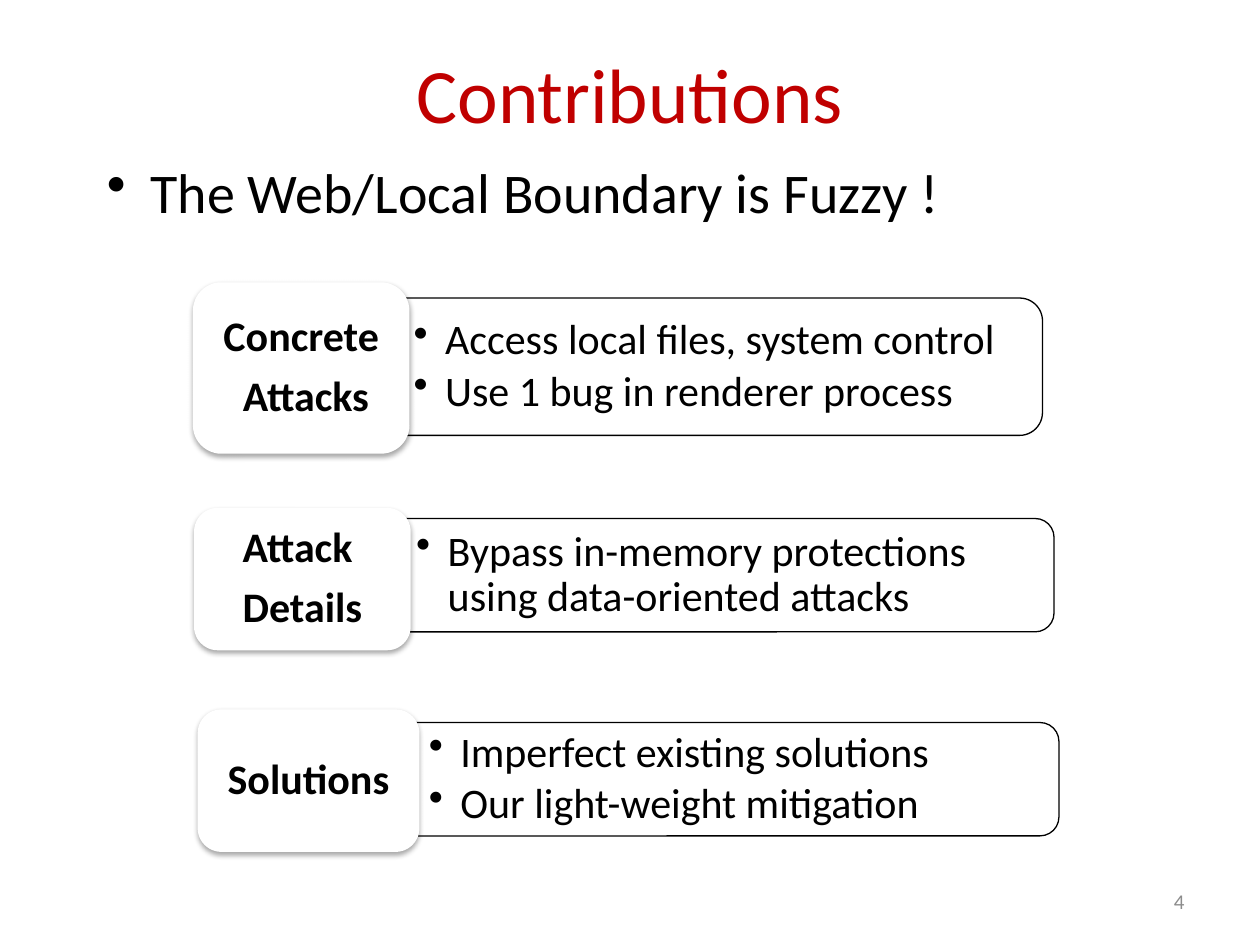
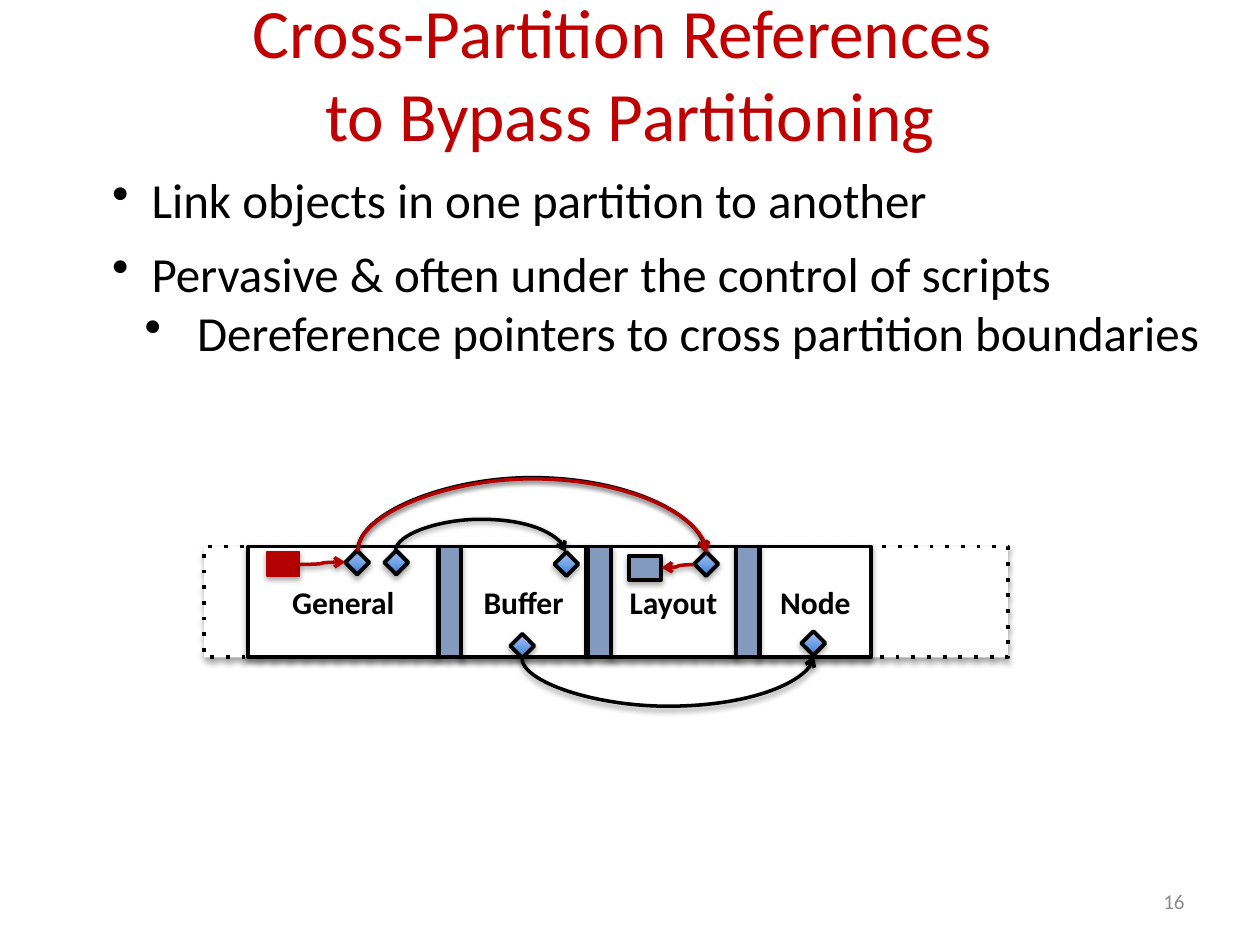
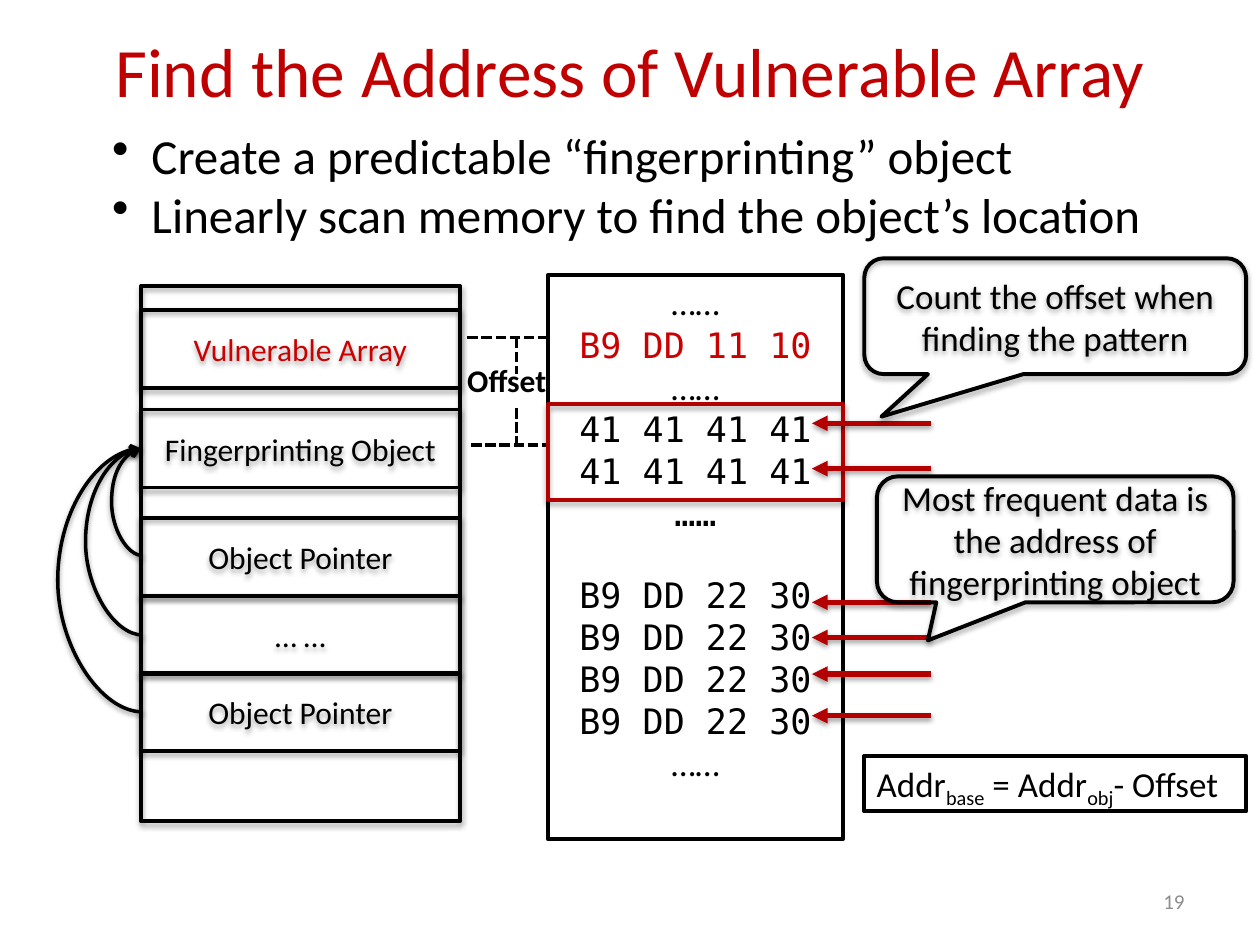
"""Build three slides on web/local boundary attacks: contributions, partition references, address search."""
from lxml.etree import SubElement
from pptx import Presentation
from pptx.dml.color import RGBColor
from pptx.enum.dml import MSO_LINE
from pptx.enum.shapes import MSO_CONNECTOR, MSO_SHAPE
from pptx.enum.text import MSO_ANCHOR, PP_ALIGN
from pptx.oxml.ns import qn
from pptx.util import Pt

RECT = MSO_SHAPE.RECTANGLE
ROUNDED = MSO_SHAPE.ROUNDED_RECTANGLE
ROUNDED_END = MSO_SHAPE.ROUND_2_SAME_RECTANGLE
DIAMOND = MSO_SHAPE.DIAMOND
CALLOUT = MSO_SHAPE.ROUNDED_RECTANGULAR_CALLOUT
STRAIGHT, CURVE = MSO_CONNECTOR.STRAIGHT, MSO_CONNECTOR.CURVE
LEFT, CENTER, RIGHT = PP_ALIGN.LEFT, PP_ALIGN.CENTER, PP_ALIGN.RIGHT
TOP, MIDDLE = MSO_ANCHOR.TOP, MSO_ANCHOR.MIDDLE
SYS_DASH, ROUND_DOT = MSO_LINE.SQUARE_DOT, MSO_LINE.ROUND_DOT

FONT, MONO = "Calibri", "DejaVu Sans Mono"
COLORS = {name: RGBColor.from_string(value) for name, value in {
    "title": "C00000", "number": "8C8C8C", "black": "000000", "white": "FFFFFF",
    "arrow": "B20100", "highlight": "CB0000", "guard": "839ABE",
    "object_dark": "3F80CE", "object_light": "A4C4FF"}.items()}


def add_box(slide, frame, lines=(), preset=None, fill=None, line="black", weight=2.25, shadow=True,
            size=18, color="black", bold=False, align=CENTER, anchor=MIDDLE, bullet=None):
    """Add a shape, or a text box when no preset is given; bullet is (margin, hanging)."""
    lengths = [Pt(value) for value in frame]
    if preset is None:
        box = slide.shapes.add_textbox(*lengths)
    else:
        box = slide.shapes.add_shape(preset, *lengths)
        if fill:
            box.fill.solid()
            box.fill.fore_color.rgb = COLORS[fill]
        else:
            box.fill.background()
        if line:
            box.line.color.rgb = COLORS[line]
            box.line.width = Pt(weight)
        else:
            box.line.fill.background()
        if not shadow:
            box.shadow.inherit = False
    text = box.text_frame
    text.word_wrap = True
    text.vertical_anchor = anchor
    for index, words in enumerate(lines):
        paragraph = text.add_paragraph() if index else text.paragraphs[0]
        paragraph.text = words
        paragraph.alignment = align
        paragraph.font.name = FONT
        paragraph.font.size = Pt(size)
        paragraph.font.bold = bold
        paragraph.font.color.rgb = COLORS[color]
        if bullet:
            properties = paragraph._p.get_or_add_pPr()
            properties.set("marL", str(Pt(bullet[0])))
            properties.set("indent", str(-Pt(bullet[1])))
            mark = properties.makeelement(qn("a:buChar"), {"char": "•"})
            properties.insert(0, mark)
    return box


def add_link(slide, start, end, color="black", weight=2, head="arrow", dash=None,
             depth=None, turn=0, flips=""):
    """Add a connector; with a depth it is a curve whose bend lies that far from its start."""
    if depth is None:
        link = slide.shapes.add_connector(STRAIGHT, *map(Pt, start + end))
    else:
        width, height = abs(end[0] - start[0]), abs(end[1] - start[1])
        if turn in (90, 270):
            width, height = height, width
        left = (start[0] + end[0] - width) / 2
        top = (start[1] + end[1] - height) / 2
        link = slide.shapes.add_connector(CURVE, Pt(left), Pt(top), Pt(left + width), Pt(top + height))
        frame = link._element.spPr.find(qn("a:xfrm"))
        frame.set("rot", str(turn * 60000))
        for flip in flips:
            frame.set("flip" + flip, "1")
        guides = link._element.spPr.find(qn("a:prstGeom")).find(qn("a:avLst"))
        SubElement(guides, qn("a:gd"), name="adj1", fmla=f"val {round(depth / width * 100000)}")
    link.line.color.rgb = COLORS[color]
    link.line.width = Pt(weight)
    if dash:
        link.line.dash_style = dash
        SubElement(link._element.spPr, qn("a:effectLst"))
    if head:
        SubElement(link.line._get_or_add_ln(), qn("a:tailEnd"), type=head)
    return link


deck = Presentation()
deck.slide_width, deck.slide_height = Pt(720), Pt(540)

slides = []
for title, title_frame, title_size, number in [
    ("Contributions", (36, 8, 648, 90), 44, "4"),
    ("Cross-Partition References \nto Bypass Partitioning", (0, -3.6, 720, 90), 39.6, "16"),
    ("Find the Address of Vulnerable Array", (36, -5, 648, 90), 39.6, "19"),
]:
    slide = deck.slides.add_slide(deck.slide_layouts[6])
    add_box(slide, title_frame, [title], size=title_size, color="title")
    add_box(slide, (516, 500.4, 168, 28.8), [number], size=12, color="number", align=RIGHT)
    slides.append(slide)
contributions, references, search = slides

add_box(contributions, (54, 88, 612, 42.5), ["The Web/Local Boundary is Fuzzy !"],
        size=32, align=LEFT, bullet=(25, 25))
for label, label_frame, details, detail_frame in [
    (["Concrete", " Attacks"], (110.2, 161.3, 123.8, 98),
     ["Access local files, system control", "Use 1 bug in renderer process"], (217, 170.3, 378.7, 78.5)),
    (["Attack ", "Details"], (110.9, 290.2, 123.8, 81.4),
     ["Bypass in-memory protections using data-oriented attacks"], (218.5, 296.3, 383.8, 64.8)),
    (["Solutions"], (113, 405.4, 126.7, 81.4),
     ["Imperfect existing solutions", "Our light-weight mitigation"], (225.7, 412.9, 379.4, 64.8)),
]:
    left, top, width, height = detail_frame
    outline = add_box(contributions, (left + (width - height) / 2, top + (height - width) / 2, height, width),
                      preset=ROUNDED_END, fill="white", weight=0.75, shadow=False)
    outline.rotation = 90
    detail = add_box(contributions, detail_frame, details, size=24, align=LEFT, bullet=(18, 18))
    detail.text_frame.margin_left, detail.text_frame.margin_right = Pt(19.4), Pt(14)
    name = add_box(contributions, label_frame, label, ROUNDED, "white", None, size=24, bold=True)
    for part, gap in [(detail, 3.6), (name, 8.4)]:
        for paragraph in part.text_frame.paragraphs:
            paragraph.line_spacing = 0.9
            paragraph.space_after = Pt(gap)

add_box(references, (57, 93.6, 600, 41), ["Link objects in one partition to another"],
        size=28, align=LEFT, anchor=TOP, bullet=(22.5, 22.5))
add_box(references, (57, 135.4, 660, 41), ["Pervasive & often under the control of scripts"],
        size=28, align=LEFT, anchor=TOP, bullet=(22.5, 22.5))
add_box(references, (57, 169.6, 660, 41), ["Dereference pointers to cross partition boundaries"],
        size=28, align=LEFT, anchor=TOP, bullet=(48.5, 30))

ROW_TOP, ROW_HEIGHT = 312.3, 63.4
memory = add_box(references, (116.6, ROW_TOP, 459.4, ROW_HEIGHT), preset=RECT, fill="white")
memory.line.dash_style = ROUND_DOT
memory.line._get_or_add_ln().find(qn("a:prstDash")).set("val", "dot")
for partition, left, width in [("Node", 434.2, 63.4), ("Buffer", 263.5, 71.3),
                               ("Layout", 349.2, 71.3), ("General", 141.8, 108.7)]:
    add_box(references, (left, ROW_TOP, width, ROW_HEIGHT), [partition], RECT, "white", bold=True)
for left in (250.6, 336.2, 420.5):
    add_box(references, (left, ROW_TOP, 13, ROW_HEIGHT), preset=RECT, fill="guard")
for left, top in [(219.6, 314.6), (316.8, 315.4), (396.7, 315.4),
                  (457.9, 360.7), (197.3, 314.6), (291.6, 362.2)]:
    pointer = add_box(references, (left, top, 13.7, 13.7), preset=DIAMOND)
    pointer.fill.gradient()
    pointer.fill.gradient_angle = 90
    for stop, shade in zip(pointer.fill.gradient_stops, ("object_dark", "object_light")):
        stop.color.rgb = COLORS[shade]
add_box(references, (152.6, 315.4, 18.7, 13.7), preset=RECT, fill="arrow", line="arrow", weight=0.75)
add_box(references, (359.3, 317.5, 18.7, 13.7), preset=RECT, fill="guard")
for start, end, color, depth, turn, flips in [
    ((226, 314.6), (323.3, 315.6), "black", -18, 270, "H"),
    ((204.5, 314.6), (403.2, 315.6), "black", -42, 270, "H"),
    ((298.1, 375.8), (465.1, 374.8), "black", -28, 90, "HV"),
    ((170.9, 322.6), (197.3, 321.2), "arrow", 13.2, 0, "V"),
    ((204.5, 314.8), (403.7, 315.8), "arrow", -41.5, 270, "H"),
    ((396.7, 322.6), (378, 324.4), "arrow", 9.4, 180, "V"),
]:
    add_link(references, start, end, color, depth=depth, turn=turn, flips=flips)

add_box(search, (57, 68.4, 640, 80),
        ["Create a predictable “fingerprinting” object", "Linearly scan memory to find the object’s location"],
        size=28, align=LEFT, anchor=TOP, bullet=(22.5, 22.5))
scanned = ["……", "B9 DD 11 10", "……", "41 41 41 41", "41 41 41 41", "……"] + ["B9 DD 22 30"] * 4 + ["……"]
dump = add_box(search, (313.2, 157, 168.5, 322.6), scanned, RECT, shadow=False, size=20, anchor=TOP)
rows = dump.text_frame.paragraphs
for index in (1, 3, 4, 5, 6, 7, 8, 9):
    rows[index].font.name = MONO
rows[1].font.color.rgb = COLORS["highlight"]
rows[6].space_before = Pt(23.3)

add_box(search, (80.6, 163.4, 182.2, 306), preset=RECT)
for block, top, color in [("Vulnerable Array", 177.1, "highlight"), ("Fingerprinting Object", 234, "black"),
                          ("Object Pointer", 384.5, "black"), ("Object Pointer", 295.9, "black"),
                          ("… …", 340.6, "black")]:
    add_box(search, (80.6, top, 182.2, 44.6), [block], RECT, color=color)
for top, depth in [(406.8, 49), (362.9, 33), (317.5, 18)]:
    add_link(search, (81.6, top), (80.6, 256.3), depth=depth, turn=180)

for start, end in [((267.1, 193), (313.2, 193)), ((269.3, 254.2), (313.9, 254.2)),
                   ((295.2, 193), (295.2, 213.8)), ((295.2, 233.3), (295.2, 254.2))]:
    add_link(search, start, end, head=None, dash=SYS_DASH)
add_box(search, (259.9, 203, 66.2, 28.8), ["Offset"], bold=True, align=LEFT, anchor=TOP)

add_box(search, (313.2, 231.1, 168.5, 54.7), preset=RECT, line="arrow")
for top in (241.9, 267.8, 344.2, 364.3, 385.2, 409):
    add_link(search, (532, top), (464, top), "arrow", 3, "triangle")
for remark, frame, tip in [
    ("Count the offset when finding the pattern", (493.9, 147.6, 218.2, 66.2), (-0.455, 0.867)),
    ("Most frequent data is the address of fingerprinting object", (501.1, 272.2, 203.8, 72), (-0.357, 0.802)),
]:
    callout = add_box(search, frame, [remark], CALLOUT, size=20)
    callout.adjustments[0], callout.adjustments[1] = tip

formula = add_box(search, (493.9, 432, 218.2, 31.7), [""], RECT, shadow=False,
                  size=20, align=LEFT, anchor=TOP).text_frame.paragraphs[0]
for term, is_subscript in [("Addr", False), ("base", True), (" = Addr", False), ("obj", True), ("- Offset", False)]:
    run = formula.add_run()
    run.text = term
    if is_subscript:
        run._r.get_or_add_rPr().set("baseline", "-25000")

deck.save("out.pptx")
